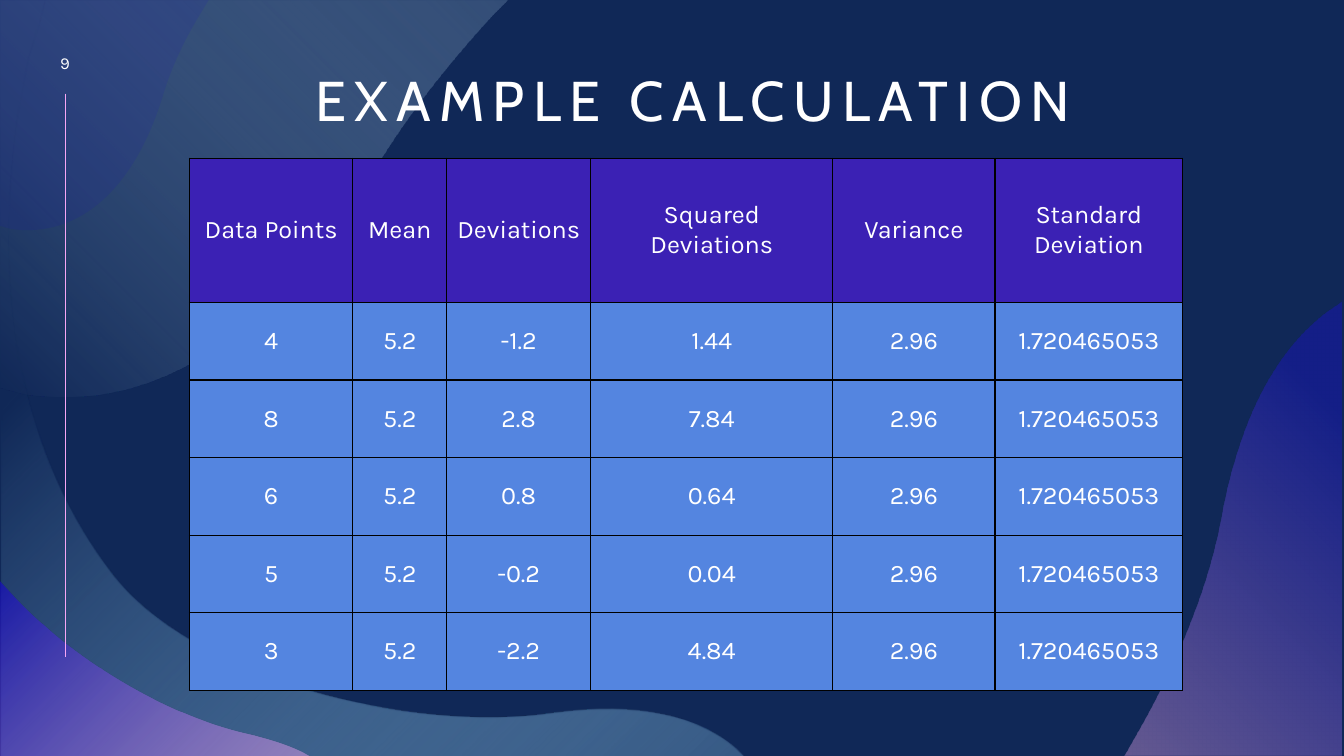
from collections import namedtuple

from pptx import Presentation
from pptx import util as u
from pptx.dml.color import RGBColor
from pptx.enum import shapes, text
from pptx.oxml import parse_xml
from pptx.oxml.ns import nsdecls, qn

COLORS = {
    "navy": "102857", "white": "FFFFFF", "black": "000000",
    "header": "3B21B4", "body": "5485E0", "sky": "92CDF0", "ice": "BEE1F6",
    "indigo": "180DC2", "blue": "1C0FE1", "pink": "F6A6F4", "rose": "F7AFF5",
}
GRID_COLUMNS, GRID_ROWS = 13.33, 7.5
CELL = u.Inches(1)

Box = namedtuple("Box", "left top width height")
Wave = namedtuple("Wave", "stops direction start segments")

SLIDE_BOX = Box(0, 0, GRID_COLUMNS, GRID_ROWS)
RULE_BOX = Box(0.65, 0.93, 0, 5.59)
TITLE_BOX = Box(2.02, 0.21, 9.71, 1.17)
NUMBER_BOX = Box(0.36, 0.45, 0.57, 0.34)
TABLE_BOX = Box(1.88, 1.57, 9.85, 5.28)

BOTTOM_RIGHT = '<a:path path="circle"><a:fillToRect l="100000" t="100000"/></a:path>'
BOTTOM_LEFT = '<a:path path="circle"><a:fillToRect t="100000" r="100000"/></a:path>'
UP_RIGHT = '<a:lin ang="18900000" scaled="0"/>'

WAVES = [
    Wave([(0, "sky", 30), (73, "navy", 100)], BOTTOM_RIGHT, (0.02, 0), [
        (0.46, 0), (0.45, 0.02),
        (0.41, 0.2, 0.36, 0.38, 0.29, 0.58),
        (-0.22, 2.95, 0.32, 4.65, 1.11, 5.68),
        (1.89, 6.72, 4.07, 7.28, 5.48, 7.07),
        (6.34, 6.95, 6.93, 7.11, 7.29, 7.42),
        (7.37, 7.5), (0.02, 7.5)]),
    Wave([(0, "navy", 56), (99, "ice", 20)], UP_RIGHT, (0.01, 0.01), [
        (5.03, 0.01), (4.88, 0.16),
        (4.43, 0.65, 4.03, 1.16, 3.73, 1.66),
        (2.63, 3.53, 1.34, 4.09, 0.23, 3.9),
        (0.01, 3.84)]),
    Wave([(0, "indigo", 11)], None, (0, 0), [
        (2.07, 0), (2.01, 0.1),
        (1.83, 0.39, 1.69, 0.69, 1.61, 0.97),
        (1.28, 2.02, 0.67, 2.36, 0.1, 2.27),
        (0, 2.24)]),
    Wave([(0, "pink", 45), (98, "indigo", 67)], BOTTOM_RIGHT, (0, 5.76), [
        (0.11, 5.88),
        (0.71, 6.54, 1.65, 7.09, 2.42, 7.27),
        (2.64, 7.32, 2.84, 7.38, 3, 7.46),
        (3.07, 7.5), (0, 7.5)]),
    Wave([(0, "rose", 36), (83, "blue", 35)], BOTTOM_LEFT, (13.31, 2.99), [
        (13.31, 7.5), (11.15, 7.5), (11.27, 7.29),
        (11.69, 6.56, 12, 5.78, 12.12, 5.09),
        (12.31, 4.09, 12.68, 3.46, 13.15, 3.1)]),
]

HEADINGS = ["Data Points", "Mean", "Deviations", "Squared Deviations",
            "Variance", "Standard Deviation"]
MEASUREMENTS = [("4", "-1.2", "1.44"), ("8", "2.8", "7.84"), ("6", "0.8", "0.64"),
                ("5", "-0.2", "0.04"), ("3", "-2.2", "4.84")]
MEAN, VARIANCE, DEVIATION = "5.2", "2.96", "1.720465053"
COLUMN_SHARES = [1.62, 0.93, 1.43, 2.4, 1.61, 1.86]
ROW_SHARES = [1.43] + [0.77] * len(MEASUREMENTS)


def color(name):
    return RGBColor.from_string(COLORS[name])


def emu(length):
    return round(length * CELL)


def place(box):
    return [emu(length) for length in box]


def set_attributes(target, values):
    for name, value in values.items():
        setattr(target, name, value)


def write(frame, words, font, size, spacing=None, line_spacing=None):
    paragraph = frame.paragraphs[0]
    set_attributes(paragraph, {"alignment": text.PP_ALIGN.CENTER,
                               "line_spacing": line_spacing})
    run = paragraph.add_run()
    run.text = words
    set_attributes(run.font, {"name": font, "size": u.Pt(size)})
    run.font.color.rgb = color("white")
    if spacing:
        run.font._element.set("spc", str(spacing * 100))


def bend_segments(shape, box, segments):
    outline = shape._element.find(".//" + qn("a:path"))
    for line, segment in zip(outline.findall(qn("a:lnTo")), segments):
        if len(segment) == 2:
            continue
        points = "".join(f'<a:pt x="{emu(box.left + x) - shape.left}" '
                         f'y="{emu(box.top + y) - shape.top}"/>'
                         for x, y in zip(segment[::2], segment[1::2]))
        outline.replace(line, parse_xml(
            f'<a:cubicBezTo {nsdecls("a")}>{points}</a:cubicBezTo>'))


def wave_fill(wave):
    tints = [f'<a:srgbClr val="{COLORS[name]}"><a:alpha val="{alpha * 1000}"/></a:srgbClr>'
             for _, name, alpha in wave.stops]
    if wave.direction is None:
        return parse_xml(f'<a:solidFill {nsdecls("a")}>{tints[0]}</a:solidFill>')
    stops = "".join(f'<a:gs pos="{stop[0] * 1000}">{tint}</a:gs>'
                    for stop, tint in zip(wave.stops, tints))
    return parse_xml(f'<a:gradFill {nsdecls("a")} rotWithShape="1">'
                     f'<a:gsLst>{stops}</a:gsLst>{wave.direction}</a:gradFill>')


def add_waves(slide, box):
    for wave in WAVES:
        ends = [wave.start] + [segment[-2:] for segment in wave.segments]
        points = [(emu(box.left + x), emu(box.top + y)) for x, y in ends]
        builder = slide.shapes.build_freeform(*points[0])
        builder.add_line_segments(points[1:], close=True)
        shape = builder.convert_to_shape()
        bend_segments(shape, box, wave.segments)
        shape.shadow.inherit = False
        shape.line.fill.background()
        shape.fill.background()
        properties = shape._element.spPr
        properties.replace(properties.find(qn("a:noFill")), wave_fill(wave))


def add_rule(slide, box):
    left, top, width, height = place(box)
    rule = slide.shapes.add_connector(shapes.MSO_CONNECTOR.STRAIGHT,
                                      left, top, left + width, top + height)
    rule.line.color.rgb = color("pink")
    rule.line.width = u.Pt(0.5)
    rule._element.spPr.append(parse_xml(f'<a:effectLst {nsdecls("a")}/>'))


def add_label(slide, box, words, anchor, **style):
    frame = slide.shapes.add_textbox(*place(box)).text_frame
    set_attributes(frame, {"word_wrap": True, "vertical_anchor": anchor})
    write(frame, words, **style)


def add_borders(cell):
    properties = cell._tc.get_or_add_tcPr()
    for side in "LRTB":
        properties.append(parse_xml(
            f'<a:ln{side} {nsdecls("a")} w="{u.Pt(1)}"><a:solidFill>'
            f'<a:srgbClr val="{COLORS["black"]}"/></a:solidFill></a:ln{side}>'))


def add_calculation_table(slide, box):
    rows = [HEADINGS] + [(point, MEAN, difference, square, VARIANCE, DEVIATION)
                         for point, difference, square in MEASUREMENTS]
    table = slide.shapes.add_table(len(rows), len(HEADINGS), *place(box)).table
    set_attributes(table, {"first_row": False, "horz_banding": False})
    for column, share in zip(table.columns, COLUMN_SHARES):
        column.width = emu(box.width * share / sum(COLUMN_SHARES))
    for row, share in zip(table.rows, ROW_SHARES):
        row.height = emu(box.height * share / sum(ROW_SHARES))
    for row_index, values in enumerate(rows):
        for column_index, value in enumerate(values):
            cell = table.cell(row_index, column_index)
            cell.vertical_anchor = text.MSO_ANCHOR.MIDDLE
            write(cell.text_frame, value, "Karla", 18)
            add_borders(cell)
            cell.fill.solid()
            cell.fill.fore_color.rgb = color("body" if row_index else "header")


def main():
    presentation = Presentation()
    set_attributes(presentation, {"slide_width": emu(GRID_COLUMNS),
                                  "slide_height": emu(GRID_ROWS)})
    slide = presentation.slides.add_slide(presentation.slide_layouts[6])
    slide.background.fill.solid()
    slide.background.fill.fore_color.rgb = color("navy")
    add_rule(slide, RULE_BOX)
    add_waves(slide, SLIDE_BOX)
    add_rule(slide, RULE_BOX)
    add_label(slide, TITLE_BOX, "EXAMPLE CALCULATION", text.MSO_ANCHOR.BOTTOM,
              font="Cabin", size=40, spacing=6, line_spacing=0.9)
    add_label(slide, NUMBER_BOX, "9", text.MSO_ANCHOR.MIDDLE, font="Karla", size=12)
    add_calculation_table(slide, TABLE_BOX)
    presentation.save("out.pptx")


if __name__ == "__main__":
    main()
